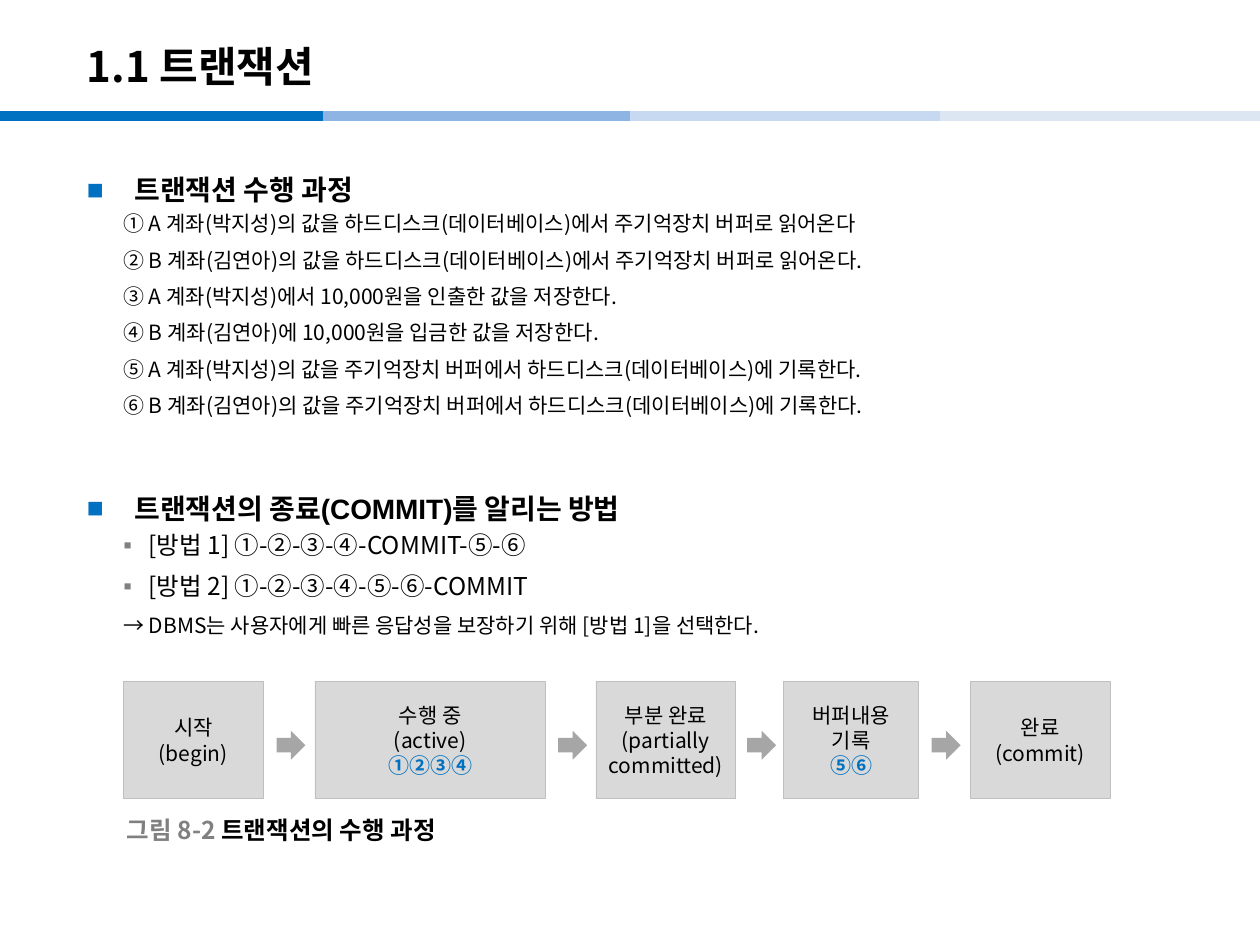
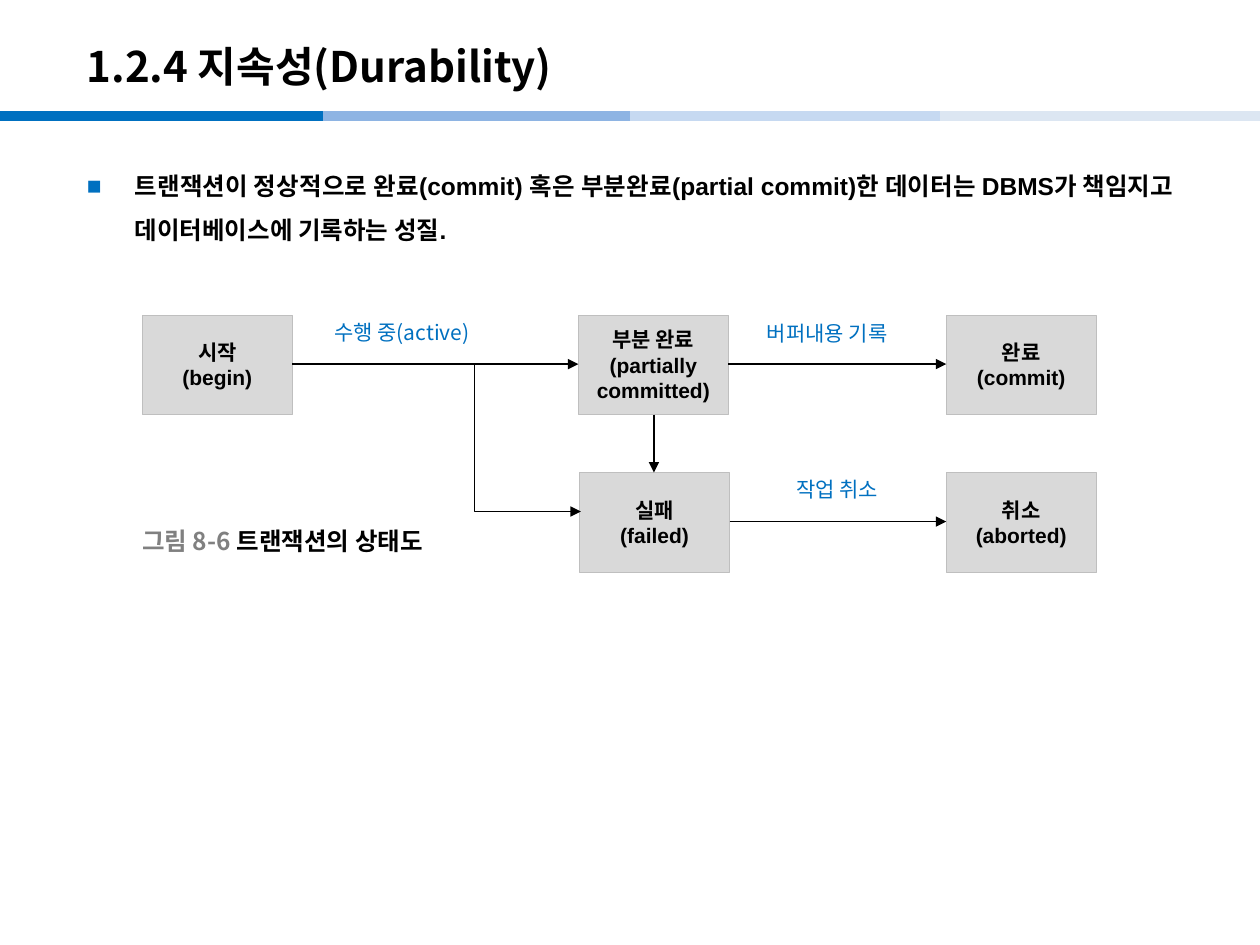
from itertools import pairwise

from lxml.etree import SubElement
from pptx import Presentation
from pptx.dml.color import RGBColor
from pptx.enum.shapes import MSO_CONNECTOR as Link, MSO_SHAPE as Form
from pptx.enum.text import MSO_ANCHOR as Anchor, PP_ALIGN as Align
from pptx.oxml.ns import qn
from pptx.util import Inches, Pt

COLORS = {
    "text": "000000", "accent": "0070C0", "caption": "808080",
    "box": "D9D9D9", "border": "BFBFBF", "arrow": "A6A6A6",
    "band2": "8EB4E3", "band3": "C6D9F1", "band4": "DCE6F2",
}
KOREAN, LATIN = "Noto Sans CJK KR", "Arial"
BAND_EDGES = (0, 2.56, 5, 7.46, 10)
BAND_COLORS = ("accent", "band2", "band3", "band4")
STATE_WIDTH, STATE_HEIGHT = 1.19, 0.79

STEPS = (
    "① A 계좌(박지성)의 값을 하드디스크(데이터베이스)에서 주기억장치 버퍼로 읽어온다",
    "② B 계좌(김연아)의 값을 하드디스크(데이터베이스)에서 주기억장치 버퍼로 읽어온다.",
    "③ A 계좌(박지성)에서 10,000원을 인출한 값을 저장한다.",
    "④ B 계좌(김연아)에 10,000원을 입금한 값을 저장한다.",
    "⑤ A 계좌(박지성)의 값을 주기억장치 버퍼에서 하드디스크(데이터베이스)에 기록한다.",
    "⑥ B 계좌(김연아)의 값을 주기억장치 버퍼에서 하드디스크(데이터베이스)에 기록한다.",
)
METHODS = (
    "[방법 1] ①-②-③-④-COMMIT-⑤-⑥",
    "[방법 2] ①-②-③-④-⑤-⑥-COMMIT",
)
STAGES = (
    (0.98, 1.11, ("시작", "(begin)"), None),
    (2.5, 1.83, ("수행 중", "(active)"), "①②③④"),
    (4.73, 1.11, ("부분 완료", "(partially committed)"), None),
    (6.22, 1.07, ("버퍼내용 기록",), "⑤⑥"),
    (7.7, 1.11, ("완료", "(commit)"), None),
)
STATES = (
    (1.13, 2.5, ("시작", "(begin)")),
    (4.59, 2.5, ("부분 완료", "(partially committed)")),
    (7.51, 2.5, ("완료", "(commit)")),
    (4.6, 3.75, ("실패", "(failed)")),
    (7.51, 3.75, ("취소", "(aborted)")),
)
TRANSITIONS = (
    (Link.STRAIGHT, 2.32, 2.89, 4.59, 2.89),
    (Link.STRAIGHT, 5.78, 2.89, 7.51, 2.89),
    (Link.STRAIGHT, 5.79, 4.14, 7.51, 4.14),
    (Link.STRAIGHT, 5.19, 3.29, 5.19, 3.75),
    (Link.ELBOW, 2.92, 2.89, 4.61, 4.06),
)
ACTIONS = (
    (2.37, 2.49, 1.64, "수행 중(active)"),
    (5.59, 2.5, 1.95, "버퍼내용 기록"),
    (5.67, 3.74, 1.95, "작업 취소"),
)


def rgb(name):
    """Return the named colour."""
    return RGBColor.from_string(COLORS[name])


def style(para, size, name=KOREAN, color="text", bold=False):
    """Set the look of a paragraph, without pair kerning."""
    font = para.font
    font.size, font.name, font.bold = Pt(size), name, bold
    font.color.rgb = rgb(color)
    para._p.pPr.find(qn("a:defRPr")).set("kern", "0")


def add_para(frame, text, size, align=Align.LEFT, **look):
    """Fill the empty first paragraph of a frame or append another."""
    para = frame.paragraphs[0]
    if para.runs:
        para = frame.add_paragraph()
    para.add_run().text = text
    para.alignment = align
    style(para, size, **look)
    return para


def add_text_box(page, left, top, width, height, anchor=Anchor.MIDDLE):
    """Add a wrapping text box and return its frame."""
    frame = page.shapes.add_textbox(*map(Inches, (left, top, width, height))).text_frame
    frame.word_wrap = True
    frame.vertical_anchor = anchor
    return frame


def add_line(page, kind, ends, color="text", width=1, arrow=False):
    """Draw a connector without shadow, with an arrowhead if asked."""
    line = page.shapes.add_connector(kind, *map(Inches, ends))
    line.line.color.rgb = rgb(color)
    line.line.width = Pt(width)
    if arrow:
        SubElement(line.line._get_or_add_ln(), qn("a:tailEnd"), type="triangle")
    SubElement(line._element.spPr, qn("a:effectLst"))


def add_form(page, form, left, top, width, height, fill):
    """Add a filled preset shape without shadow or outline."""
    shape = page.shapes.add_shape(form, *map(Inches, (left, top, width, height)))
    shape.shadow.inherit = False
    shape.fill.solid()
    shape.fill.fore_color.rgb = rgb(fill)
    shape.line.fill.background()
    return shape


def add_box(page, left, top, width, height, lines, **look):
    """Add a grey box with centred lines and return its frame."""
    box = add_form(page, Form.RECTANGLE, left, top, width, height, "box")
    box.line.color.rgb = rgb("border")
    box.line.width = Pt(0.5)
    frame = box.text_frame
    frame.word_wrap = True
    frame.vertical_anchor = Anchor.MIDDLE
    frame.margin_left = frame.margin_right = Inches(0.09)
    for text in lines:
        add_para(frame, text, 12, Align.CENTER, **look)
    return frame


def set_indent(para, left, hanging, bullet=None, color=None):
    """Give a paragraph a hanging indent and an optional bullet."""
    props = para._p.get_or_add_pPr()
    props.set("marL", str(Inches(left)))
    props.set("indent", str(-Inches(hanging)))
    if bullet:
        mark = SubElement(props, qn("a:buClr"))
        SubElement(mark, qn("a:srgbClr"), val=COLORS[color])
        SubElement(props, qn("a:buFont"), typeface=LATIN)
        SubElement(props, qn("a:buChar"), char=bullet)
        props.append(props.find(qn("a:defRPr")))


def add_heading(frame, text, size, align=Align.LEFT, before=0):
    """Add a bold paragraph with a blue square bullet."""
    para = add_para(frame, text, size, align, name=LATIN, bold=True)
    para.line_spacing = 1.5
    para.space_before = Pt(before)
    set_indent(para, 0.38, 0.38, "■", "accent")


def add_item(frame, text, size, bullet=None):
    """Add a second-level paragraph."""
    para = add_para(frame, text, size)
    para.space_before = Pt(size * 0.2)
    para.space_after = Pt(4)
    set_indent(para, 0.49, 0.2, bullet, "caption")


def add_caption(page, left, top, number, text):
    """Add a figure caption with a grey number."""
    frame = add_text_box(page, left, top, 3.2, 0.31)
    para = add_para(frame, number + " ", 14, bold=True)
    para.runs[0].font.color.rgb = rgb("caption")
    para.add_run().text = text


def add_page(deck, title):
    """Add a page with title and colour band and return it with its body frame."""
    page = deck.slides.add_slide(deck.slide_layouts[6])
    for (start, end), color in zip(pairwise(BAND_EDGES), BAND_COLORS):
        add_line(page, Link.STRAIGHT, (start, 0.92, end, 0.92), color, 6)
    add_para(add_text_box(page, 0.59, 0.22, 8.27, 0.6), title, 24, bold=True)
    return page, add_text_box(page, 0.59, 1.19, 8.82, 5.98, Anchor.TOP)


def add_process_page(deck):
    """Build the page on how a transaction runs."""
    page, body = add_page(deck, "1.1 트랜잭션")
    add_heading(body, "트랜잭션 수행 과정", 16)
    for step in STEPS:
        add_item(body, step, 12)
    add_heading(body, "트랜잭션의 종료(COMMIT)를 알리는 방법", 16, before=28.5)
    for method in METHODS:
        add_item(body, method, 14, "▪")
    add_item(body, "→ DBMS는 사용자에게 빠른 응답성을 보장하기 위해 [방법 1]을 선택한다.", 12)
    for left, width, lines, steps in STAGES:
        frame = add_box(page, left, 5.41, width, 0.93, lines)
        if steps:
            add_para(frame, steps, 12, Align.CENTER, color="accent", bold=True)
    for (left, width, *_), (following, *_) in pairwise(STAGES):
        middle = (left + width + following) / 2
        add_form(page, Form.RIGHT_ARROW, middle - 0.1, 5.8, 0.23, 0.23, "arrow")
    add_caption(page, 0.91, 6.43, "그림 8-2", "트랜잭션의 수행 과정")


def add_durability_page(deck):
    """Build the page on durability with its state diagram."""
    page, body = add_page(deck, "1.2.4 지속성(Durability)")
    add_heading(
        body,
        "트랜잭션이 정상적으로 완료(commit) 혹은 부분완료(partial commit)한 데이터는 "
        "DBMS가 책임지고 데이터베이스에 기록하는 성질.",
        14, Align.JUSTIFY,
    )
    for left, top, lines in STATES:
        add_box(page, left, top, STATE_WIDTH, STATE_HEIGHT, lines, name=LATIN, bold=True)
    for kind, *ends in TRANSITIONS:
        add_line(page, kind, ends, arrow=True)
    for left, top, width, text in ACTIONS:
        frame = add_text_box(page, left, top, width, 0.29)
        add_para(frame, text, 12, Align.CENTER, color="accent")
    add_caption(page, 1.03, 4.14, "그림 8-6", "트랜잭션의 상태도")


def main():
    """Build and save the deck."""
    deck = Presentation()
    deck.slide_width, deck.slide_height = Inches(10), Inches(7.5)
    add_process_page(deck)
    add_durability_page(deck)
    deck.save("out.pptx")


if __name__ == "__main__":
    main()
